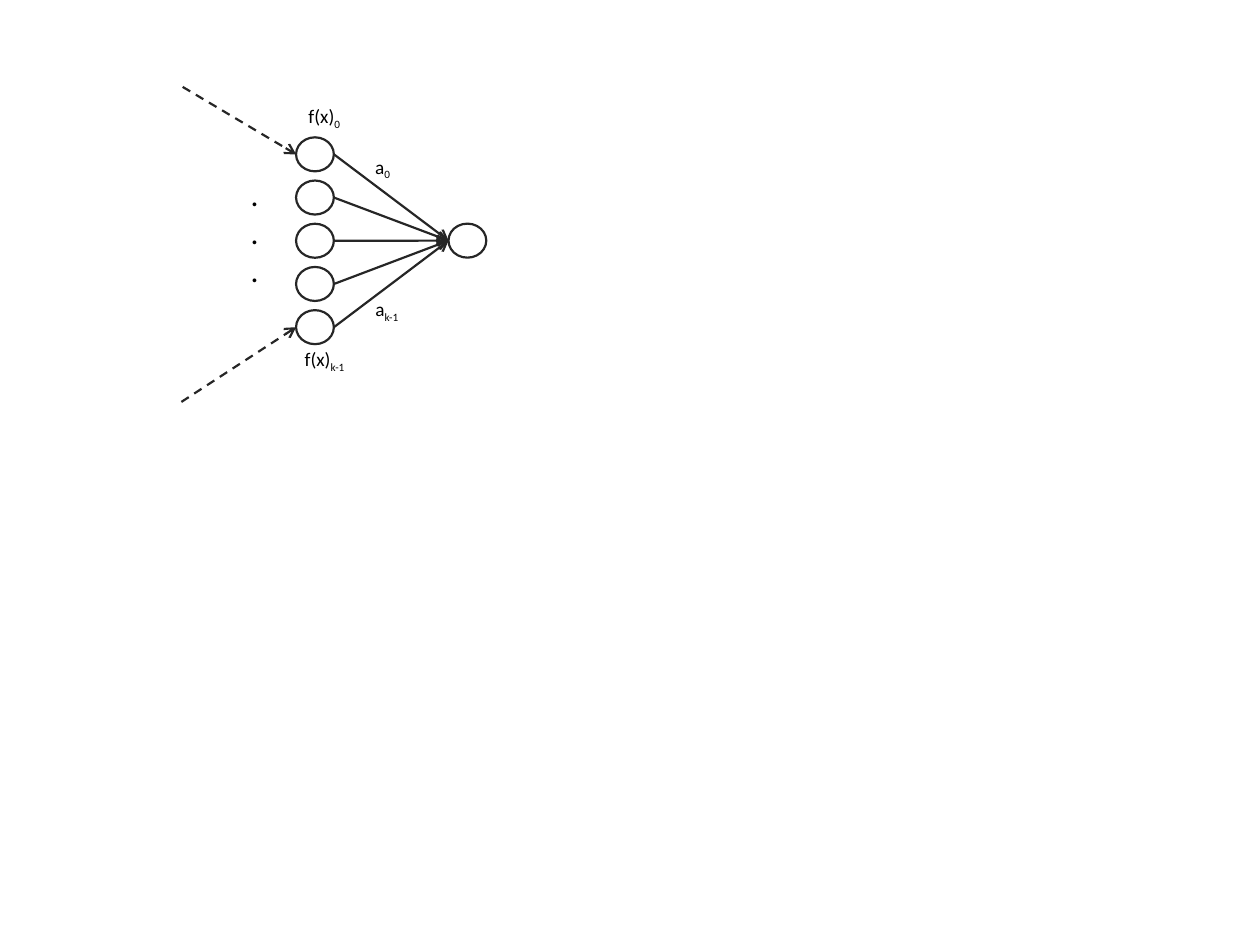
from pptx import Presentation
from pptx import util as u
from pptx.dml.color import RGBColor
from pptx.enum import dml, shapes, text
from pptx.oxml.ns import qn
from lxml import etree


def color(value):
    """Turn a hex string into a colour."""
    return RGBColor.from_string(value)


class Diagram:
    """Draw on one slide, with lengths in cells of a 100 by 75 grid."""

    ink, paper, letters = "262626", "FFFFFF", "000000"
    font, weight = "Calibri", 1.25
    columns, rows = 100, 75
    node_width, node_height = 3, 2.7

    def __init__(self, deck):
        self.deck = deck
        self.page = deck.slides.add_slide(deck.slide_layouts[6])

    def x(self, column):
        return u.Emu(round(self.deck.slide_width * column / self.columns))

    def y(self, row):
        return u.Emu(round(self.deck.slide_height * row / self.rows))

    def outline(self, line):
        line.color.rgb = color(self.ink)
        line.width = u.Pt(self.weight)

    def node(self, left, middle):
        node = self.page.shapes.add_shape(
            shapes.MSO_SHAPE.OVAL, self.x(left), self.y(middle - self.node_height / 2),
            self.x(self.node_width), self.y(self.node_height))
        node.shadow.inherit = False
        node.fill.solid()
        node.fill.fore_color.rgb = color(self.paper)
        self.outline(node.line)

    def arrow(self, start, end, dashed=False):
        arrow = self.page.shapes.add_connector(
            shapes.MSO_CONNECTOR.STRAIGHT, self.x(start[0]), self.y(start[1]),
            self.x(end[0]), self.y(end[1]))
        self.outline(arrow.line)
        if dashed:
            arrow.line.dash_style = dml.MSO_LINE.DASH
        properties = arrow._element.spPr
        etree.SubElement(properties.find(qn("a:ln")), qn("a:tailEnd"), type="arrow")
        etree.SubElement(properties, qn("a:effectLst"))

    def label(self, left, top, width, height, lines, size=11, subscript=""):
        box = self.page.shapes.add_textbox(
            self.x(left), self.y(top), self.x(width), self.y(height))
        frame = box.text_frame
        frame.word_wrap = False
        frame.auto_size = text.MSO_AUTO_SIZE.SHAPE_TO_FIT_TEXT
        frame.text = "\n".join(lines)
        for para in frame.paragraphs:
            para.font.name = self.font
            para.font.size = u.Pt(size)
            para.font.color.rgb = color(self.letters)
        if subscript:
            span = frame.paragraphs[-1].add_run()
            span.text = subscript
            span.font._element.set("baseline", "-25000")
        for para in frame.paragraphs:
            for span in para.runs:
                span.font.name = self.font
                span.font.size = u.Pt(size)
                span.font.color.rgb = color(self.letters)


deck = Presentation()
deck.slide_width, deck.slide_height = u.Inches(10), u.Inches(7.5)
diagram = Diagram(deck)

input_left, output_left = 23.5, 35.6
input_right = input_left + diagram.node_width
middles = [12.25 + 3.43 * index for index in range(5)]
center = 19.1

for middle in middles:
    diagram.node(input_left, middle)
diagram.node(output_left, center)
for middle in middles:
    diagram.arrow((input_right, middle), (output_left, center))
for start, middle in (((14.5, 6.9), middles[0]), ((14.4, 31.9), middles[-1])):
    diagram.arrow(start, (input_left, middle), dashed=True)

diagram.label(18.9, 13.4, 2.7, 10.1, ["."] * 3, size=18)
for left, top, width, name, index in (
        (23.5, 7.8, 4.7, "f(x)", "0"), (23.2, 27.1, 5.4, "f(x)", "k-1"),
        (28.8, 11.8, 3.3, "a", "0"), (28.8, 23.1, 4.1, "a", "k-1")):
    diagram.label(left, top, width, 2.9, [name], subscript=index)

deck.save("out.pptx")
